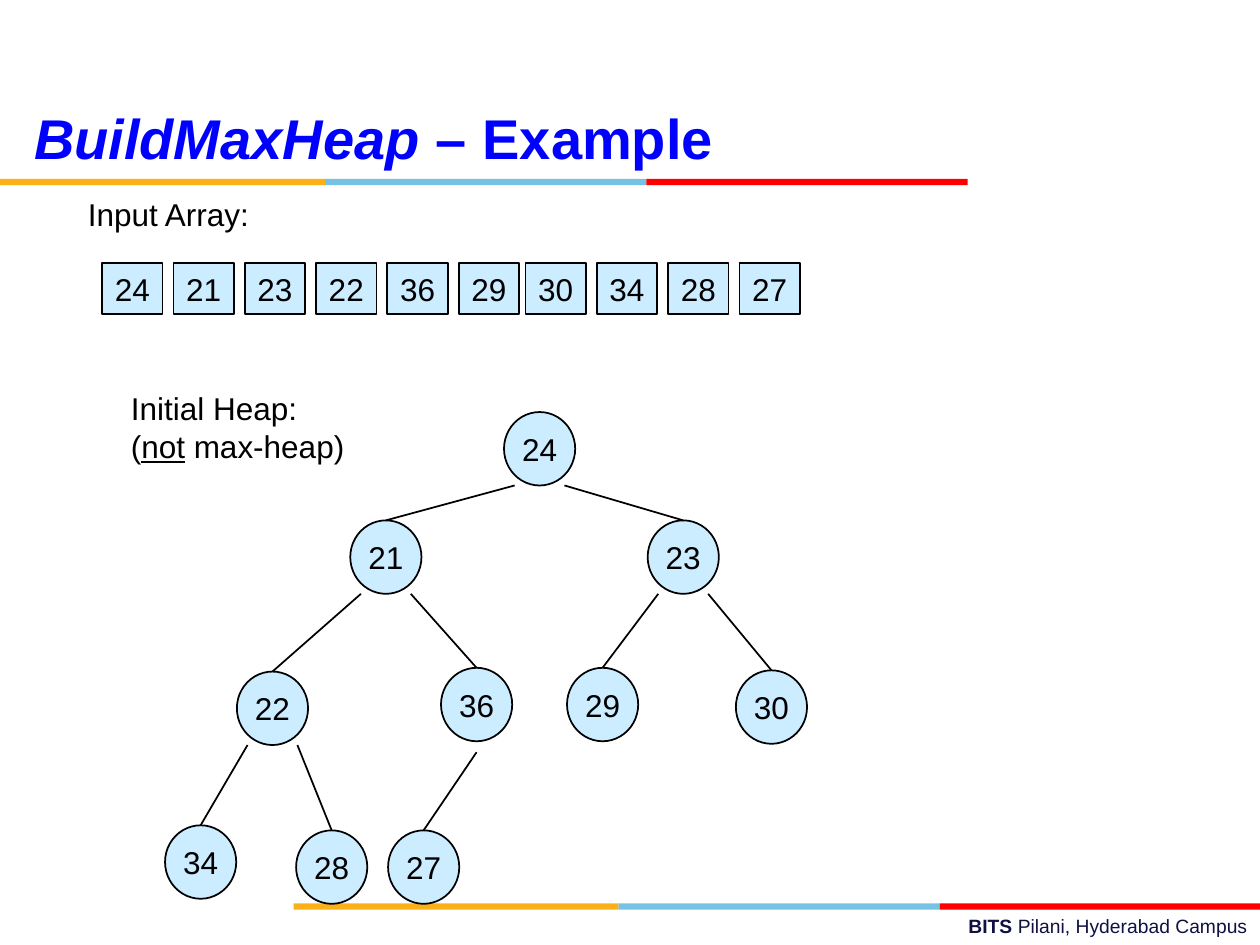
from itertools import accumulate

from lxml.etree import SubElement
from pptx import Presentation
from pptx.dml.color import RGBColor
from pptx.enum.shapes import MSO_CONNECTOR as Connector, MSO_SHAPE as Shape
from pptx.enum.text import MSO_ANCHOR as Anchor, PP_ALIGN as Align
from pptx.oxml.ns import qn
from pptx.util import Inches, Pt

COLUMNS, ROWS = 100, 75
WIDTH, HEIGHT = Inches(10), Inches(7.5)
FONT = "Arial"
BLACK, NODE_FILL, TITLE_BLUE, NAVY = "000000", "CCECFF", "0000FF", "101141"
STRIPES = [("FCB017", 25.8), ("76C2E5", 25.5), ("FF0000", 25.5)]
VALUES = [24, 21, 23, 22, 36, 29, 30, 34, 28, 27]
NODE_PLACES = [(26.9, 0), (14.7, 8.6), (38.3, 8.6), (5.7, 20.6), (21.9, 20.3),
               (31.9, 20.3), (45.3, 20.5), (0, 32.8), (10.4, 33.2), (17.7, 33.2)]
NODE_WIDTH, NODE_HEIGHT = 5.65, 5.83


def color(value):
    """Turn a hex string into a colour."""
    return RGBColor.from_string(value)


def place(left, top, width, height):
    """Turn grid columns and rows into slide lengths."""
    column, row = WIDTH / COLUMNS, HEIGHT / ROWS
    return [round(length) for length in (left * column, top * row, width * column, height * row)]


def format_run(run, size, ink, bold=False, italic=False, underline=False):
    """Give a run its font."""
    font = run.font
    font.name, font.size = FONT, Pt(size)
    font.bold, font.italic, font.underline = bold, italic, underline
    font.color.rgb = color(ink)


def add_runs(paragraph, pieces, size, ink):
    """Add pieces of text, each with its own style."""
    for text, style in pieces:
        run = paragraph.add_run()
        run.text = text
        format_run(run, size, ink, **style)


def add_text(slide, box, lines, size=18, ink=BLACK, align=Align.LEFT):
    """Add a text box with one paragraph for each line of pieces."""
    frame = slide.shapes.add_textbox(*place(*box)).text_frame
    frame.word_wrap = True
    for number, pieces in enumerate(lines):
        paragraph = frame.add_paragraph() if number else frame.paragraphs[0]
        paragraph.alignment = align
        add_runs(paragraph, pieces, size, ink)


def add_value(slide, kind, box, value):
    """Add an outlined shape that holds one array value."""
    shape = slide.shapes.add_shape(kind, *place(*box))
    shape.shadow.inherit = False
    shape.fill.solid()
    shape.fill.fore_color.rgb = color(NODE_FILL)
    shape.line.color.rgb = color(BLACK)
    shape.line.width = Pt(1)
    frame = shape.text_frame
    frame.word_wrap = False
    frame.vertical_anchor = Anchor.MIDDLE
    frame.text = str(value)
    paragraph = frame.paragraphs[0]
    paragraph.alignment = Align.CENTER
    format_run(paragraph.runs[0], 18, BLACK)
    return shape


def add_stripes(slide, left, top):
    """Add the three-colour rule."""
    offsets = accumulate((width for _, width in STRIPES), initial=left)
    for (fill, width), offset in zip(STRIPES, offsets):
        stripe = slide.shapes.add_shape(Shape.RECTANGLE, *place(offset, top, width, 0.5))
        stripe.shadow.inherit = False
        stripe.fill.solid()
        stripe.fill.fore_color.rgb = color(fill)
        stripe.line.fill.background()


def add_title(slide, box):
    """Move and format the title placeholder."""
    title = slide.shapes.title
    title.left, title.top, title.width, title.height = place(*box)
    title.text_frame.vertical_anchor = Anchor.MIDDLE
    paragraph = title.text_frame.paragraphs[0]
    paragraph.alignment = Align.LEFT
    pieces = [("BuildMaxHeap", {"bold": True, "italic": True}), (" – Example", {"bold": True})]
    add_runs(paragraph, pieces, 32, TITLE_BLUE)


def add_array(slide, left, top):
    """Add the array as two runs of evenly spaced cells."""
    pitch, first_run, second_left = 5.66, 6, 33.6
    for index, value in enumerate(VALUES):
        run, position = divmod(index, first_run)
        box = (left + run * second_left + position * pitch, top, 4.8, 4)
        add_value(slide, Shape.RECTANGLE, box, value)


def add_edge(slide, start, child):
    """Join a point under a parent to the top of its child."""
    x, y, _, _ = place(*start, 0, 0)
    edge = slide.shapes.add_connector(Connector.STRAIGHT, x, y, child.left, child.top)
    edge.end_connect(child, 0)
    edge.line.color.rgb = color(BLACK)
    edge.line.width = Pt(1)
    SubElement(edge._element.spPr, qn("a:effectLst"))


def add_heap(slide, left, top):
    """Add the binary tree, where node i hangs under node (i - 1) // 2."""
    for index, (value, (x, y)) in enumerate(zip(VALUES, NODE_PLACES)):
        box = (left + x, top + y, NODE_WIDTH, NODE_HEIGHT)
        node = add_value(slide, Shape.OVAL, box, value)
        if index:
            parent_x, parent_y = NODE_PLACES[(index - 1) // 2]
            only_child = index % 2 and index == len(VALUES) - 1
            across, down = (0.5, 1.15) if only_child else (0.15 if index % 2 else 0.85, 1)
            start = (left + parent_x + across * NODE_WIDTH, top + parent_y + down * NODE_HEIGHT)
            add_edge(slide, start, node)


def main():
    """Build the slide and save it."""
    presentation = Presentation()
    presentation.slide_width, presentation.slide_height = WIDTH, HEIGHT
    slide = presentation.slides.add_slide(presentation.slide_layouts[5])
    add_stripes(slide, 0, 14.2)
    add_stripes(slide, 23.3, 71.7)
    footer = [("BITS ", {"bold": True}), ("Pilani, Hyderabad Campus", {})]
    add_text(slide, (35.8, 72.1, 64.2, 2.9), [footer], 11, NAVY, Align.RIGHT)
    add_title(slide, (1.7, 7.5, 98.3, 6.7))
    add_text(slide, (6, 15, 16, 4), [[("Input Array:", {})]])
    add_array(slide, 8.1, 20.9)
    heap_label = [[("Initial Heap:", {})],
                  [("(", {}), ("not", {"underline": True}), (" ", {"italic": True}), ("max-heap)", {})]]
    add_text(slide, (9.4, 30.4, 20, 7), heap_label)
    add_heap(slide, 13.1, 32.7)
    presentation.save("out.pptx")


if __name__ == "__main__":
    main()
